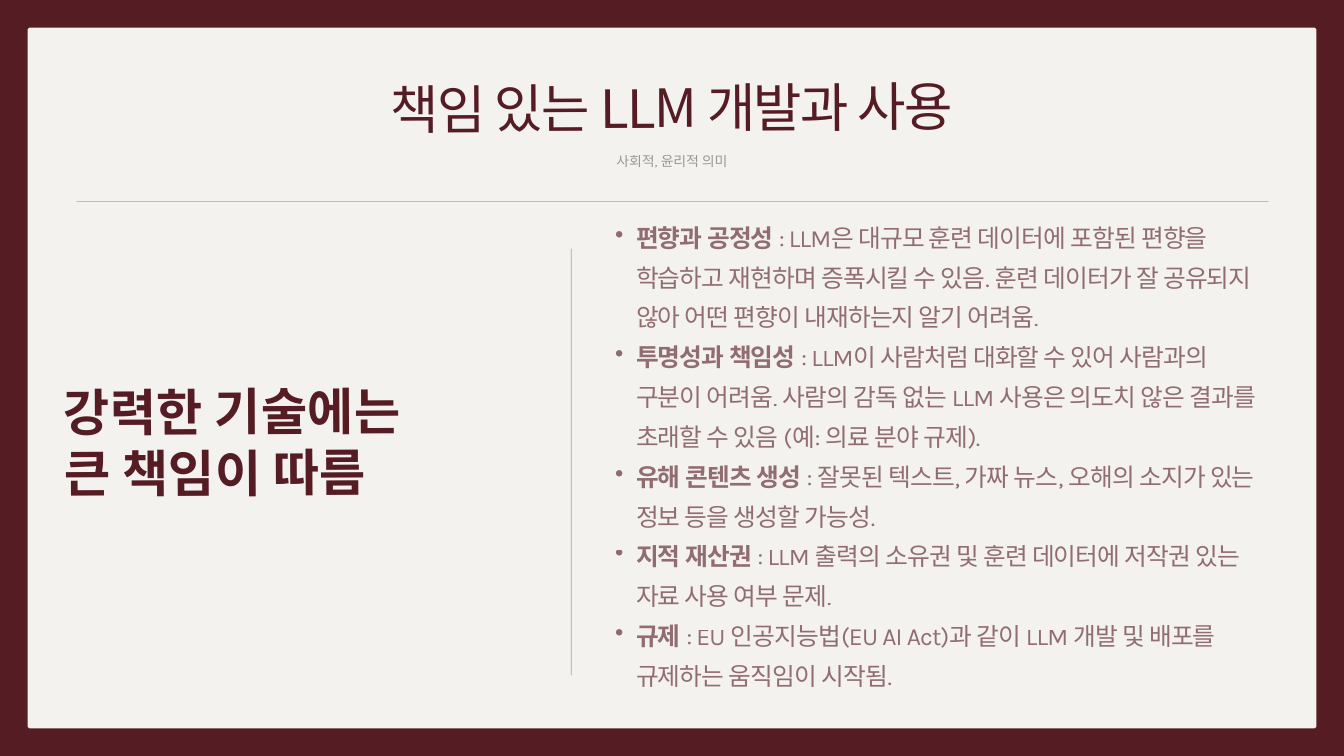
from dataclasses import dataclass

from lxml.etree import SubElement
from pptx import Presentation
from pptx.dml.color import RGBColor as RGB
from pptx.enum.shapes import MSO_CONNECTOR as Connector, MSO_SHAPE as Shape
from pptx.enum.text import MSO_AUTO_SIZE as AutoSize, PP_ALIGN as Align
from pptx.oxml.ns import qn
from pptx.util import Pt


@dataclass(frozen=True)
class TextStyle:
    face: str
    size: float
    color: RGB
    leading: float
    tracking: float
    opacity: int = 100
    bold: bool = False


@dataclass(frozen=True)
class Theme:
    wine = RGB(0x56, 0x1C, 0x24)
    paper = RGB(0xF3, 0xF2, 0xEF)
    rule = RGB(0x22, 0x22, 0x22)
    rule_opacity = 40
    title = TextStyle("Noto Sans CJK KR", 56.5, wine, 57.6, -1.8)
    subtitle = TextStyle("Karla", 15, RGB(0, 0, 0), 23.1, -0.2, opacity=36)
    message = TextStyle("Noto Sans CJK KR", 53.9, wine, 65.8, 0.2, bold=True)
    issue = TextStyle("Karla", 26.5, wine, 42.7, -0.9, opacity=62)


THEME = Theme()

ISSUES = [
    ("편향과 공정성 ",
     ": LLM은 대규모 훈련 데이터에 포함된 편향을 학습하고 재현하며 증폭시킬 수 있음. "
     "훈련 데이터가 잘 공유되지 않아 어떤 편향이 내재하는지 알기 어려움."),
    ("투명성과 책임성",
     " : LLM이 사람처럼 대화할 수 있어 사람과의 구분이 어려움. "
     "사람의 감독 없는 LLM 사용은 의도치 않은 결과를 초래할 수 있음 (예: 의료 분야 규제)."),
    ("유해 콘텐츠 생성",
     " : 잘못된 텍스트, 가짜 뉴스, 오해의 소지가 있는 정보 등을 생성할 가능성."),
    ("지적 재산권",
     " : LLM 출력의 소유권 및 훈련 데이터에 저작권 있는 자료 사용 여부 문제."),
    ("규제",
     " : EU 인공지능법(EU AI Act)과 같이 LLM 개발 및 배포를 규제하는 움직임이 시작됨."),
]


def set_opacity(element, percent):
    for color in list(element.iter(qn("a:srgbClr"))):
        SubElement(color, qn("a:alpha")).set("val", str(percent * 1000))


def add_panel(slide, left, top, width, height, radius):
    panel = slide.shapes.add_shape(
        Shape.ROUNDED_RECTANGLE, Pt(left), Pt(top), Pt(width), Pt(height))
    panel.adjustments[0] = radius / min(width, height)
    panel.shadow.inherit = False
    panel.fill.solid()
    panel.fill.fore_color.rgb = THEME.paper
    panel.line.fill.background()


def add_rule(slide, x1, y1, x2, y2, color):
    rule = slide.shapes.add_connector(
        Connector.STRAIGHT, Pt(x1), Pt(y1), Pt(x2), Pt(y2))
    rule.line.width = Pt(0.75)
    rule.line.color.rgb = color
    properties = rule._element.spPr
    set_opacity(properties, THEME.rule_opacity)
    SubElement(properties, qn("a:effectLst"))


def add_run(paragraph, wording, style, bold):
    run = paragraph.add_run()
    run.text = wording
    font = run.font
    font.name = style.face
    font.size = Pt(style.size)
    font.bold = bold
    font.color.rgb = style.color
    properties = run._r.get_or_add_rPr()
    properties.set("spc", str(round(style.tracking * 100)))
    SubElement(properties, qn("a:ea")).set("typeface", style.face)
    if style.opacity < 100:
        set_opacity(properties, style.opacity)


def add_bullet(paragraph):
    paragraph.level = 1
    properties = paragraph._p.get_or_add_pPr()
    properties.set("marL", str(Pt(45)))
    properties.set("indent", str(Pt(-22.5)))
    SubElement(properties, qn("a:buChar")).set("char", "•")


def add_text(slide, left, top, width, height, lines, style,
             align=Align.LEFT, rotation=0, bulleted=False):
    box = slide.shapes.add_textbox(Pt(left), Pt(top), Pt(width), Pt(height))
    box.rotation = rotation
    frame = box.text_frame
    frame.word_wrap = True
    frame.auto_size = AutoSize.SHAPE_TO_FIT_TEXT
    frame.margin_left = frame.margin_right = 0
    frame.margin_top = frame.margin_bottom = 0
    for index, runs in enumerate(lines):
        paragraph = frame.add_paragraph() if index else frame.paragraphs[0]
        if bulleted:
            add_bullet(paragraph)
        paragraph.alignment = align
        paragraph.line_spacing = Pt(style.leading)
        for wording, bold in runs:
            add_run(paragraph, wording, style, bold)


def add_plain_text(slide, left, top, width, height, lines, style, **options):
    styled = [[(line, style.bold)] for line in lines]
    add_text(slide, left, top, width, height, styled, style, **options)


def main():
    deck = Presentation()
    deck.slide_width, deck.slide_height = Pt(1440), Pt(810)
    slide = deck.slides.add_slide(deck.slide_layouts[6])
    slide.background.fill.solid()
    slide.background.fill.fore_color.rgb = THEME.wine

    add_panel(slide, 29.5, 29.5, 1381, 751, radius=2.9)
    add_plain_text(slide, 557.3, 158.4, 325.4, 21, ["사회적, 윤리적 의미"],
                   THEME.subtitle, align=Align.CENTER)
    add_plain_text(slide, 401, 90.7, 638, 59, ["책임 있는 LLM 개발과 사용"],
                   THEME.title, align=Align.CENTER, rotation=359.7)
    add_rule(slide, 82, 216, 1359, 216, THEME.rule)
    add_rule(slide, 612, 266.4, 612, 723.6, THEME.wine)
    add_plain_text(slide, 68.4, 406, 515.5, 129.6,
                   ["강력한 기술에는", "큰 책임이 따름"],
                   THEME.message, rotation=359.7)
    issues = [[(topic, True), (concern, False)] for topic, concern in ISSUES]
    add_text(slide, 636.5, 227.5, 722.2, 501, issues, THEME.issue, bulleted=True)

    deck.save("out.pptx")


if __name__ == "__main__":
    main()
